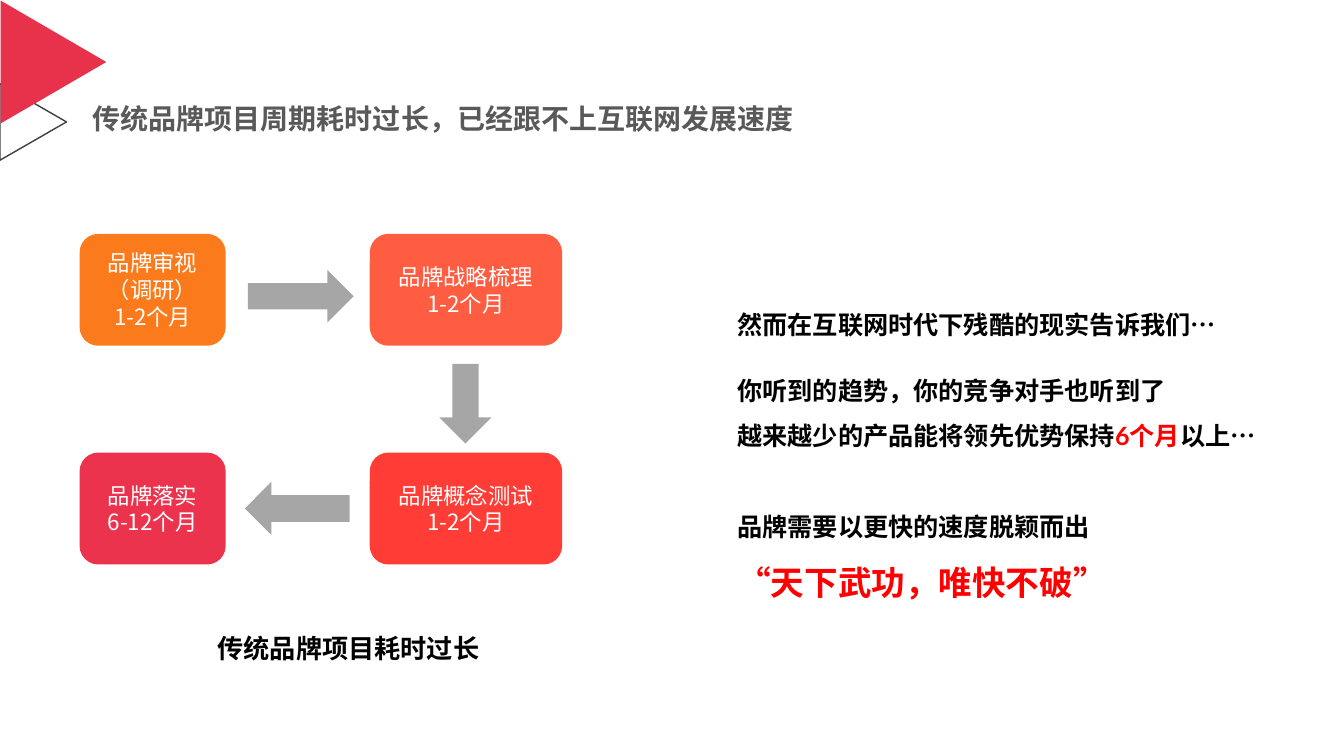
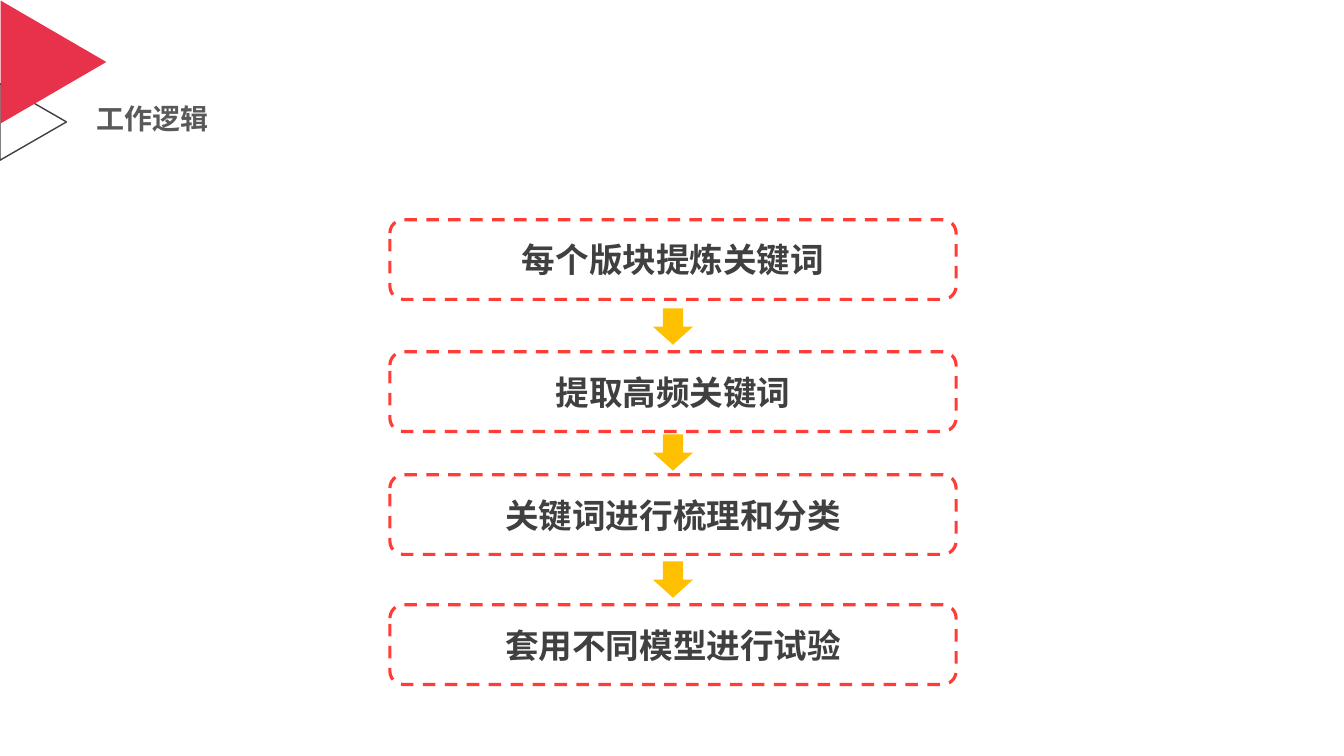
from pptx import Presentation
from pptx.dml.color import RGBColor
from pptx.enum.dml import MSO_LINE
from pptx.enum.lang import MSO_LANGUAGE_ID
from pptx.enum.shapes import MSO_SHAPE
from pptx.enum.text import MSO_ANCHOR, PP_ALIGN
from pptx.oxml.ns import qn
from pptx.util import Inches, Pt
from lxml import etree

TRIANGLE, ROUNDED = MSO_SHAPE.ISOSCELES_TRIANGLE, MSO_SHAPE.ROUNDED_RECTANGLE
RIGHT, DOWN, LEFT_ARROW = MSO_SHAPE.RIGHT_ARROW, MSO_SHAPE.DOWN_ARROW, MSO_SHAPE.LEFT_ARROW
LEFT, CENTER, MIDDLE, TOP = PP_ALIGN.LEFT, PP_ALIGN.CENTER, MSO_ANCHOR.MIDDLE, MSO_ANCHOR.TOP
DASH = MSO_LINE.DASH
CHINESE = MSO_LANGUAGE_ID.SIMPLIFIED_CHINESE

# Shared look
SANS, LATIN = "Noto Sans CJK SC", "Lato"
BLACK, RED, GRAY, AMBER, CORAL = "000000", "FF0000", "A6A6A6", "FFC000", "FF3D36"
TITLE = {"name": SANS, "size": Pt(20), "bold": True, "color": "595959"}
STAGE = {"name": SANS, "size": Pt(16), "color": "FFFFFF"}
CAPTION = {"name": SANS, "size": Pt(18.7), "bold": True, "color": BLACK}
STEP = {"name": SANS, "size": Pt(24), "bold": True, "color": "404040"}
BODY = {"name": LATIN, "size": Pt(18), "bold": True, "color": BLACK}
ALERT = BODY | {"color": RED}
SLOGAN = ALERT | {"size": Pt(24)}

# Slide 1 content
CYCLE_TITLE = ("传统品牌项目周期耗时过长，已经跟不上互联网发展速度", 0.87, 7.11)
COLUMNS = [(0.79, 1.45), (3.67, 1.91)]  # left, width
ROWS, STAGE_HEIGHT = [2.32, 4.49], 1.11
STAGES = [  # column, row, fill, lines
    (0, 0, "FB7B1C", ["品牌审视（调研）", "1-2个月"]),
    (1, 0, "FF5D42", ["品牌战略梳理", "1-2个月"]),
    (1, 1, CORAL, ["品牌概念测试", "1-2个月"]),
    (0, 1, "EC334E", ["品牌落实", "6-12个月"]),
]
CYCLE_ARROWS = [
    (RIGHT, (2.46, 2.68, 1.05, 0.52)),
    (DOWN, (4.36, 3.61, 0.52, 0.79)),
    (LEFT_ARROW, (2.43, 4.78, 1.04, 0.53)),
]
CYCLE_CAPTION = "传统品牌项目耗时过长"
ARGUMENT = [  # space before in points, spans
    (0, [("然而在互联网时代下残酷的现实告诉我们…", BODY)]),
    (14.5, [("你听到的趋势，你的竞争对手也听到了", BODY)]),
    (0, [("越来越少的产品能将领先优势保持", BODY), ("6个月", ALERT), ("以上…", BODY)]),
    (32.5, [("品牌需要以更快的速度脱颖而出", BODY)]),
    (0, [("“天下武功，唯快不破”", SLOGAN)]),
]

# Slide 2 content
LOGIC_TITLE = ("工作逻辑", 0.91, 1.22)
STEPS = [
    (2.18, "每个版块提炼关键词"),
    (3.49, "提取高频关键词"),
    (4.71, "关键词进行梳理和分类"),
    (6.0, "套用不同模型进行试验"),
]
STEP_ARROW_TOPS = [3.06, 4.31, 5.57]
STEP_LEFT, STEP_WIDTH, STEP_HEIGHT = 3.87, 5.62, 0.79
STEP_ARROW_WIDTH, STEP_ARROW_HEIGHT = 0.4, 0.36


def rgb(value):
    return RGBColor.from_string(value)


def write(frame, paragraphs, align=LEFT, anchor=TOP, spacing=1.0, wrap=True):
    """Fill a text frame from (space before, spans) pairs."""
    frame.word_wrap, frame.vertical_anchor = wrap, anchor
    for index, (before, spans) in enumerate(paragraphs):
        para = frame.paragraphs[0] if index == 0 else frame.add_paragraph()
        para.alignment, para.line_spacing = align, spacing
        para.space_before = Pt(before)
        for text, style in spans:
            span = para.add_run()
            span.text = text
            span.font.language_id = CHINESE
            for key, value in style.items():
                if key == "color":
                    span.font.color.rgb = rgb(value)
                else:
                    setattr(span.font, key, value)
            east_asian = etree.SubElement(span.font._element, qn("a:ea"))
            east_asian.set("typeface", SANS)


def add_shape(page, kind, at, fill=None, line=None, weight=1, dash=None):
    shape = page.shapes.add_shape(kind, *map(Inches, at))
    shape.shadow.inherit = False
    if fill:
        shape.fill.solid()
        shape.fill.fore_color.rgb = rgb(fill)
    else:
        shape.fill.background()
    if line:
        shape.line.color.rgb = rgb(line)
        shape.line.width = Pt(weight)
        if dash:
            shape.line.dash_style = dash
    else:
        shape.line.fill.background()
    return shape


def add_text(page, at, paragraphs, **layout):
    box = page.shapes.add_textbox(*map(Inches, at))
    write(box.text_frame, paragraphs, **layout)


def add_page(deck, title):
    page = deck.slides.add_slide(deck.slide_layouts[5])
    text, left, width = title
    box = page.shapes.title
    box.left, box.top, box.width, box.height = map(Inches, (left, 0.99, width, 0.41))
    for side in ("left", "top", "right", "bottom"):
        setattr(box.text_frame, "margin_" + side, Inches(0.05))
    write(box.text_frame, [(0, [(text, TITLE)])], anchor=MIDDLE, spacing=0.9, wrap=False)
    return page


def decorate_layout(page):
    """Move the corner triangles to the layout, behind its placeholders."""
    outline = add_shape(page, TRIANGLE, (-0.05, 0.88, 0.76, 0.66), line="404040")
    solid = add_shape(page, TRIANGLE, (-0.08, 0.09, 1.22, 1.05), fill="E8314A")
    for index, triangle in enumerate((outline, solid)):
        triangle.rotation = 90
        triangle.element.nvSpPr.cNvPr.set("id", str(101 + index))
        page.slide_layout.shapes.element.insert(2 + index, triangle.element)


def build_cycle(page):
    for column, row, fill, lines in STAGES:
        left, width = COLUMNS[column]
        box = add_shape(page, ROUNDED, (left, ROWS[row], width, STAGE_HEIGHT), fill)
        write(box.text_frame, [(0, [(text, STAGE)]) for text in lines], CENTER, MIDDLE)
    for kind, at in CYCLE_ARROWS:
        add_shape(page, kind, at, GRAY)
    add_text(page, (2.06, 6.22, 2.81, 0.41), [(0, [(CYCLE_CAPTION, CAPTION)])], wrap=False)
    add_text(page, (7.22, 2.87, 6, 3.38), ARGUMENT, spacing=1.5)


def build_logic(page):
    for top, text in STEPS:
        at = (STEP_LEFT, top, STEP_WIDTH, STEP_HEIGHT)
        box = add_shape(page, ROUNDED, at, line=CORAL, weight=2.25, dash=DASH)
        write(box.text_frame, [(0, [(text, STEP)])], CENTER, MIDDLE)
    arrow_left = STEP_LEFT + (STEP_WIDTH - STEP_ARROW_WIDTH) / 2
    for top in STEP_ARROW_TOPS:
        add_shape(page, DOWN, (arrow_left, top, STEP_ARROW_WIDTH, STEP_ARROW_HEIGHT), AMBER)


def main():
    deck = Presentation()
    deck.slide_width, deck.slide_height = Inches(13.34), Inches(7.5)
    cycle = add_page(deck, CYCLE_TITLE)
    decorate_layout(cycle)
    build_cycle(cycle)
    build_logic(add_page(deck, LOGIC_TITLE))
    deck.save("out.pptx")


if __name__ == "__main__":
    main()
